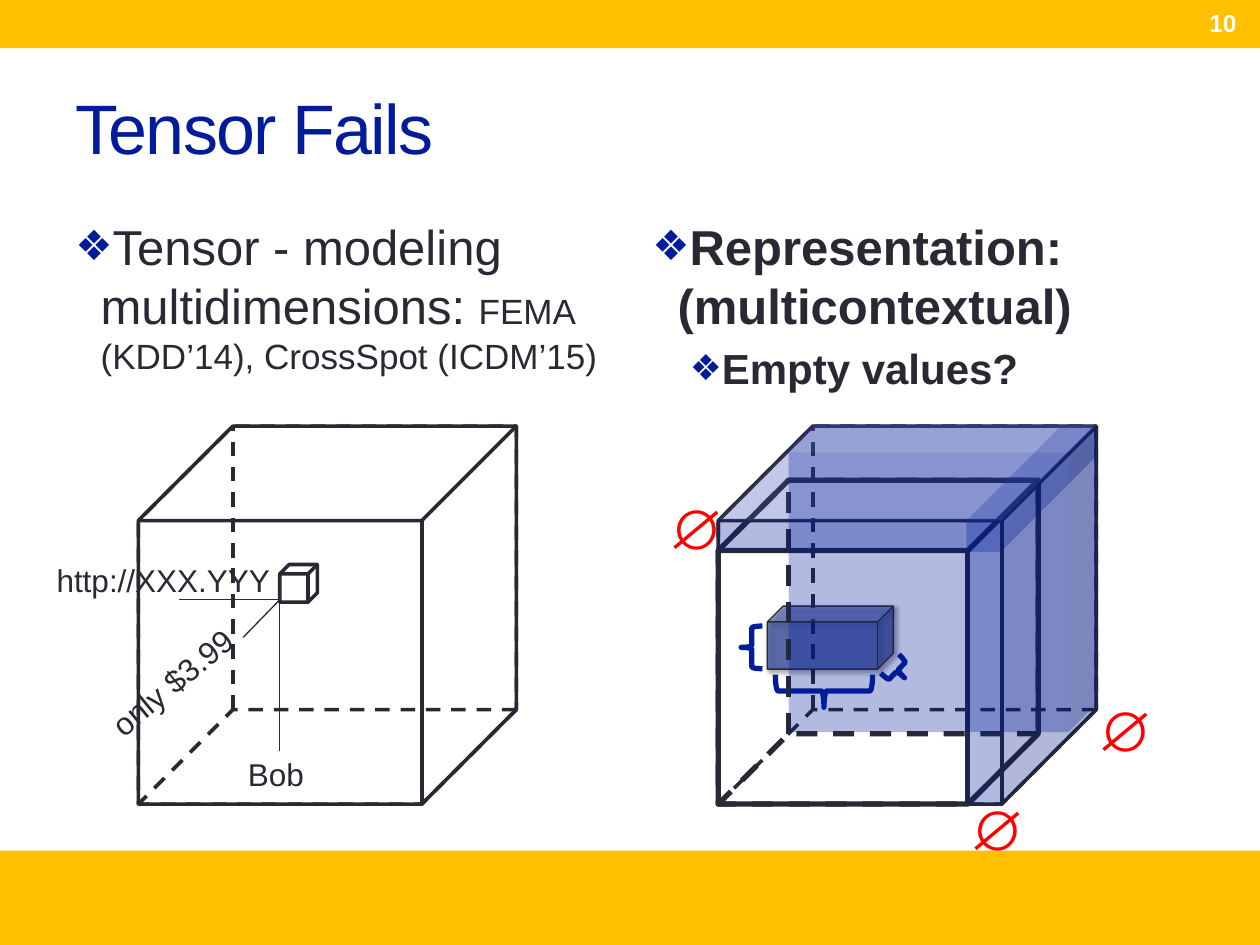
"""Build the slide on how tensors fail at multicontextual data."""
from dataclasses import dataclass
from typing import Optional

from lxml.etree import SubElement
from pptx import Presentation
from pptx.dml.color import RGBColor
from pptx.enum.dml import MSO_LINE
from pptx.enum.shapes import MSO_CONNECTOR, MSO_SHAPE
from pptx.enum.text import MSO_ANCHOR, MSO_AUTO_SIZE, PP_ALIGN
from pptx.oxml.ns import qn
from pptx.util import Cm, Pt

HUES = {"ink": "292934", "blue": "011C9A", "gold": "FFC000",
        "red": "FF0000", "white": "FFFFFF", "black": "000000"}
FONT = "Arial"
CUBE, BRACE = MSO_SHAPE.CUBE, MSO_SHAPE.RIGHT_BRACE


@dataclass
class Box:
    left: float
    top: float
    width: float
    height: float

    def size(self) -> tuple:
        return Cm(self.left), Cm(self.top), Cm(self.width), Cm(self.height)


@dataclass
class Form:
    box: Box
    kind: MSO_SHAPE = CUBE
    fill: Optional[str] = None
    alpha: int = 100
    line: Optional[str] = None
    width: float = 2.08
    dash: bool = False
    turn: float = 0
    adj: Optional[float] = None
    shade: bool = False


@dataclass
class Label:
    text: str
    box: Box
    size: int = 18
    hue: str = "ink"
    bold: bool = False
    turn: float = 0
    anchor: MSO_ANCHOR = MSO_ANCHOR.TOP


@dataclass
class Item:
    runs: list
    bold: bool = False
    level: int = 0
    space: float = 0


def color(name: str) -> RGBColor:
    return RGBColor.from_string(HUES[name])


def add_shade(shape) -> None:
    effects = shape._element.spPr.find(qn("a:effectLst"))
    outer = SubElement(effects, qn("a:outerShdw"), blurRad=str(Pt(3)),
                       dist=str(Pt(2)), dir="2700000", rotWithShape="0")
    tone = SubElement(outer, qn("a:srgbClr"), val=HUES["black"])
    SubElement(tone, qn("a:alpha"), val="60000")


def draw_form(slide, form: Form) -> None:
    shape = slide.shapes.add_shape(form.kind, *form.box.size())
    shape.shadow.inherit = False
    shape.rotation = form.turn
    if form.adj is not None:
        shape.adjustments[0] = form.adj
    if form.fill:
        shape.fill.solid()
        shape.fill.fore_color.rgb = color(form.fill)
        if form.alpha < 100:
            tone = shape._element.spPr.find(qn("a:solidFill"))[0]
            SubElement(tone, qn("a:alpha"), val=str(form.alpha * 1000))
    else:
        shape.fill.background()
    if form.line:
        shape.line.color.rgb = color(form.line)
        shape.line.width = Pt(form.width)
        if form.dash:
            shape.line.dash_style = MSO_LINE.DASH
    else:
        shape.line.fill.background()
    if form.shade:
        add_shade(shape)


def draw_hull(slide, box: Box, width: float = 2.08, adj: float = 0.25) -> None:
    for turn in (0, 180):
        draw_form(slide, Form(box, line="ink", width=width, adj=adj,
                              turn=turn, dash=turn == 180))


def draw_line(slide, start: tuple, end: tuple) -> None:
    line = slide.shapes.add_connector(
        MSO_CONNECTOR.STRAIGHT, *(Cm(n) for n in start + end))
    line.line.color.rgb = color("ink")
    line.line.width = Pt(0.75)
    SubElement(line._element.spPr, qn("a:effectLst"))


def add_run(para, text: str, size: int, hue: str, bold: bool = False):
    run = para.add_run()
    run.text = text
    run.font.name = FONT
    run.font.size = Pt(size)
    run.font.bold = bold
    run.font.color.rgb = color(hue)
    return run


def draw_label(slide, label: Label) -> None:
    shape = slide.shapes.add_textbox(*label.box.size())
    shape.rotation = label.turn
    frame = shape.text_frame
    frame.word_wrap = False
    frame.auto_size = MSO_AUTO_SIZE.SHAPE_TO_FIT_TEXT
    if label.anchor == MSO_ANCHOR.MIDDLE:
        frame.auto_size = MSO_AUTO_SIZE.NONE
    frame.vertical_anchor = label.anchor
    add_run(frame.paragraphs[0], label.text, label.size, label.hue, label.bold)


def draw_list(slide, box: Box, items: list) -> None:
    frame = slide.shapes.add_textbox(*box.size()).text_frame
    frame.word_wrap = True
    for spot, item in enumerate(items):
        para = frame.add_paragraph() if spot else frame.paragraphs[0]
        props = para._p.get_or_add_pPr()
        props.set("marL", str(Cm(0.51 + 0.76 * item.level)))
        props.set("indent", str(Cm(-0.51)))
        tone = SubElement(props, qn("a:buClr"))
        SubElement(tone, qn("a:srgbClr"), val=HUES["blue"])
        SubElement(props, qn("a:buSzPct"), val="85000")
        SubElement(props, qn("a:buFont"), typeface=FONT)
        SubElement(props, qn("a:buChar"), char="❖")
        para.level = item.level
        para.space_before = Pt(item.space)
        for text, size in item.runs:
            add_run(para, text, size, "ink", item.bold)


def draw_title(slide, text: str) -> None:
    title = slide.shapes.title
    title.left, title.top, title.width, title.height = Box(
        1.27, 1.19, 22.86, 2.74).size()
    title.text_frame.vertical_anchor = MSO_ANCHOR.MIDDLE
    para = title.text_frame.paragraphs[0]
    para.alignment = PP_ALIGN.LEFT
    run = add_run(para, text, 40, "blue")
    run._r.get_or_add_rPr().set("spc", "-100")


def main() -> None:
    deck = Presentation()
    deck.slide_width, deck.slide_height = Cm(25.4), Cm(19.05)
    slide = deck.slides.add_slide(deck.slide_layouts[5])
    for top, height in ((0, 0.97), (17.15, 1.9)):
        draw_form(slide, Form(Box(0, top, 25.4, height),
                              MSO_SHAPE.RECTANGLE, "gold"))
    draw_title(slide, "Tensor Fails")
    draw_list(slide, Box(1.27, 4.24, 11.23, 12.47), [
        Item([("Tensor - modeling multidimensions: ", 28),
              ("FEMA (KDD’14), CrossSpot (ICDM’15)", 20)])])
    draw_list(slide, Box(12.9, 4.24, 11.23, 12.47), [
        Item([("Representation: (multicontextual)", 28)], True),
        Item([("Empty values?", 24)], True, 1, 4.8)])

    draw_hull(slide, Box(2.79, 8.59, 7.62, 7.62))
    draw_form(slide, Form(Box(5.64, 11.38, 0.76, 0.76), line="ink"))
    for end in ((5.64, 15.14), (3.61, 12.09), (4.9, 12.85)):
        draw_line(slide, (5.64, 12.09), end)

    draw_hull(slide, Box(14.48, 8.59, 7.62, 7.62))
    draw_form(slide, Form(Box(15.47, 12.22, 2.54, 1.27), fill="blue",
                          alpha=50, line="ink", width=0.75, shade=True))
    for box, turn in ((Box(14.94, 12.62, 0.43, 0.86), 180),
                      (Box(17.88, 13.26, 0.41, 0.53), 43.7),
                      (Box(16.28, 12.95, 0.66, 1.96), 90)):
        draw_form(slide, Form(box, BRACE, line="blue", width=3, turn=turn))
    draw_hull(slide, Box(14.48, 9.68, 6.45, 6.53), 3, 0.22)
    for box, adj in ((Box(14.48, 8.56, 7.62, 2.57), 0.75),
                     (Box(19.48, 8.59, 2.62, 7.62), 0.73),
                     (Box(15.9, 8.56, 6.2, 6.2), 0.09)):
        draw_form(slide, Form(box, fill="blue", alpha=30, adj=adj))

    for label in (
            Label("10", Box(24.13, 0, 1.27, 0.91), 14, "white", True,
                  anchor=MSO_ANCHOR.MIDDLE),
            Label("Bob", Box(4.75, 15.09, 1.65, 1.02)),
            Label("http://XXX.YYY", Box(0.89, 11.18, 4.85, 1.02)),
            Label("only $3.99", Box(1.75, 13.23, 3.48, 1.02), turn=320.5)):
        draw_label(slide, label)
    for left, top in ((13.23, 9.83), (21.87, 13.89), (19.3, 15.9)):
        draw_label(slide, Label("∅", Box(left, top, 1.09, 1.63),
                                32, "red", True))
    deck.save("out.pptx")


if __name__ == "__main__":
    main()
